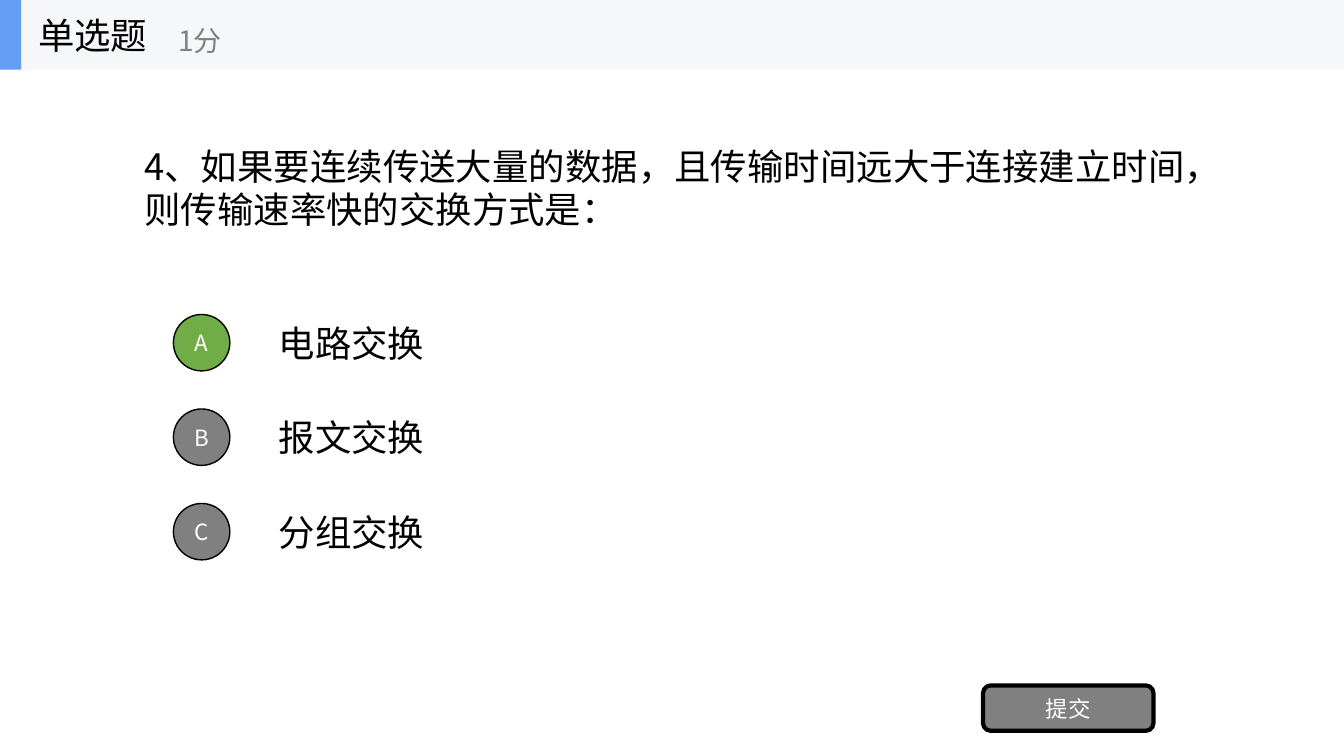
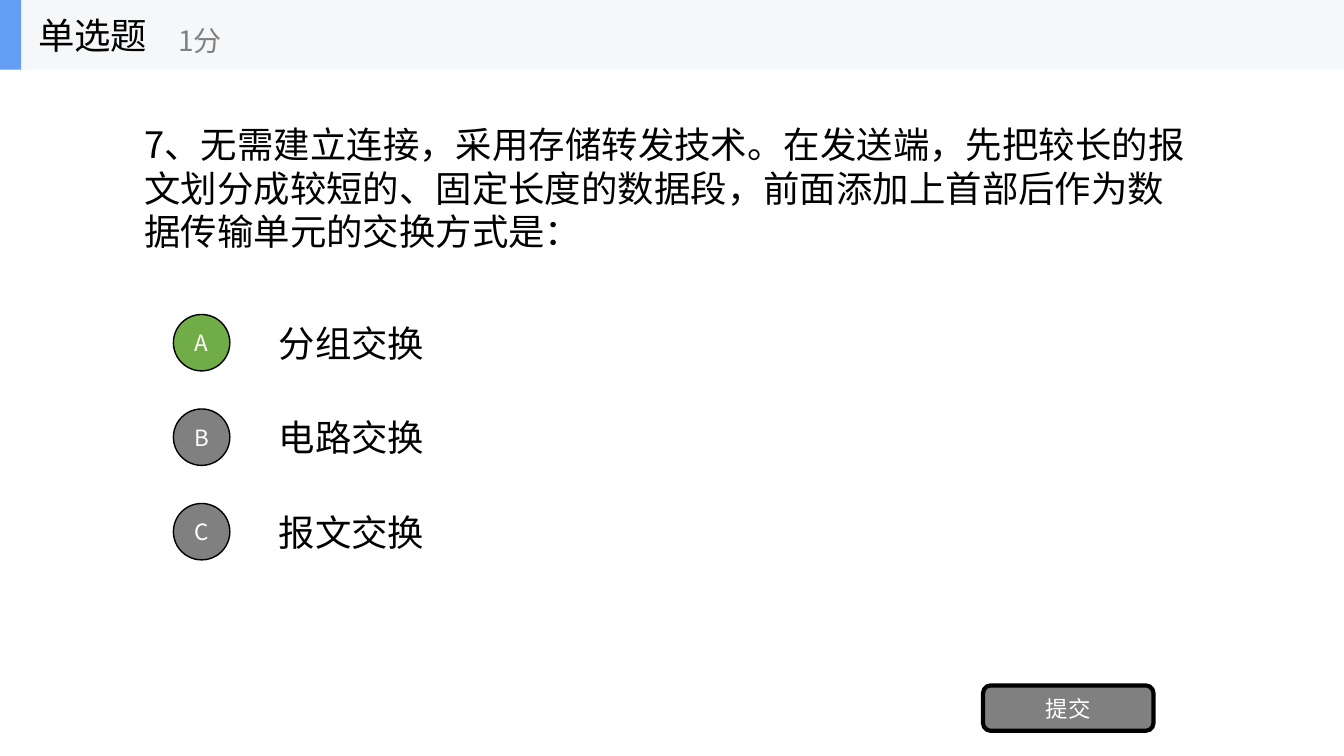
from dataclasses import dataclass

from lxml import etree
from pptx import Presentation
from pptx.dml.color import RGBColor
from pptx.enum.shapes import MSO_SHAPE
from pptx.enum.text import MSO_ANCHOR, PP_ALIGN
from pptx.oxml.ns import qn
from pptx.shapes.autoshape import Shape
from pptx.shapes.shapetree import GroupShapes, SlideShapes
from pptx.util import Inches, Pt

RECTANGLE = MSO_SHAPE.RECTANGLE
ROUNDED = MSO_SHAPE.ROUNDED_RECTANGLE
OVAL = MSO_SHAPE.OVAL
MIDDLE = MSO_ANCHOR.MIDDLE
LEFT = PP_ALIGN.LEFT
CENTER = PP_ALIGN.CENTER

BLACK = RGBColor(0x00, 0x00, 0x00)
WHITE = RGBColor(0xFF, 0xFF, 0xFF)
GRAY = RGBColor(0x80, 0x80, 0x80)
GREEN = RGBColor(0x70, 0xAD, 0x47)
BLUE = RGBColor(0x63, 0x9E, 0xF4)
PALE = RGBColor(0xF6, 0xF7, 0xF8)

FONT = "Noto Sans CJK SC"
TEXT_SIZE = 26
SCORE_SIZE = 20
LABEL_SIZE = 16

SLIDE_WIDTH = 13.33
SLIDE_HEIGHT = 7.5
BAND_HEIGHT = 0.69
MARGIN = 0.1 * SLIDE_WIDTH
CONTENT_WIDTH = SLIDE_WIDTH - 2 * MARGIN
OPTION_LEFT = 2 * MARGIN
OPTION_TOP = 3.05
OPTION_HEIGHT = 0.7
OPTION_PITCH = SLIDE_HEIGHT / 8
BADGE_LEFT = 1.72
BADGE_SIZE = 0.56


@dataclass(frozen=True)
class Box:
    left: float
    top: float
    width: float
    height: float

    def lengths(self) -> list[int]:
        return [Inches(value) for value in (self.left, self.top, self.width, self.height)]


@dataclass(frozen=True)
class Question:
    text: str
    options: tuple[str, ...]
    answer: int


QUESTIONS = (
    Question(
        "4、如果要连续传送大量的数据，且传输时间远大于连接建立时间，则传输速率快的交换方式是：",
        ("电路交换", "报文交换", "分组交换"),
        0,
    ),
    Question(
        "7、无需建立连接，采用存储转发技术。在发送端，先把较长的报文划分成较短的、"
        "固定长度的数据段，前面添加上首部后作为数据传输单元的交换方式是：",
        ("分组交换", "电路交换", "报文交换"),
        0,
    ),
)


def write_text(shape: Shape, text: str, size: int, color: RGBColor,
               alignment: PP_ALIGN = LEFT, wrap: bool = True) -> None:
    frame = shape.text_frame
    frame.word_wrap = wrap
    frame.vertical_anchor = MIDDLE
    paragraph = frame.paragraphs[0]
    paragraph.text = text
    paragraph.alignment = alignment
    font = paragraph.font
    font.size = Pt(size)
    font.color.rgb = color
    font.name = FONT
    properties = paragraph._p.pPr.find(qn("a:defRPr"))
    etree.SubElement(properties, qn("a:ea"), typeface=FONT)


def add_text(shapes: SlideShapes | GroupShapes, box: Box, text: str, size: int = TEXT_SIZE,
             color: RGBColor = BLACK, wrap: bool = True) -> None:
    write_text(shapes.add_textbox(*box.lengths()), text, size, color, wrap=wrap)


def add_filled(shapes: SlideShapes | GroupShapes, kind: MSO_SHAPE, box: Box,
               fill: RGBColor, line_width: float = 0) -> Shape:
    shape = shapes.add_shape(kind, *box.lengths())
    shape.shadow.inherit = False
    shape.fill.solid()
    shape.fill.fore_color.rgb = fill
    if line_width:
        shape.line.color.rgb = BLACK
        shape.line.width = Pt(line_width)
    else:
        shape.line.fill.background()
    return shape


def add_button(shapes: SlideShapes, kind: MSO_SHAPE, box: Box, text: str,
               fill: RGBColor, line_width: float) -> None:
    button = add_filled(shapes, kind, box, fill, line_width)
    write_text(button, text, LABEL_SIZE, WHITE, CENTER)


def add_header(shapes: SlideShapes) -> None:
    header = shapes.add_group_shape().shapes
    add_filled(header, RECTANGLE, Box(0, 0, SLIDE_WIDTH, BAND_HEIGHT), PALE)
    add_filled(header, RECTANGLE, Box(0, 0, 0.21, BAND_HEIGHT), BLUE)
    add_text(header, Box(0.28, 0, 2.08, BAND_HEIGHT), "单选题", wrap=False)
    add_text(header, Box(1.67, 0.12, 2.5, 0.56), "1分", SCORE_SIZE, GRAY, wrap=False)


def add_option(shapes: SlideShapes, row: int, text: str, correct: bool) -> None:
    top = OPTION_TOP + row * OPTION_PITCH
    badge_top = top + (OPTION_HEIGHT - BADGE_SIZE) / 2
    add_text(shapes, Box(OPTION_LEFT, top, 0.7 * SLIDE_WIDTH, OPTION_HEIGHT), text)
    add_button(shapes, OVAL, Box(BADGE_LEFT, badge_top, BADGE_SIZE, BADGE_SIZE),
               "ABC"[row], GREEN if correct else GRAY, 1)


def main() -> None:
    presentation = Presentation()
    presentation.slide_width = Inches(SLIDE_WIDTH)
    presentation.slide_height = Inches(SLIDE_HEIGHT)
    blank = presentation.slide_layouts[6]
    for question in QUESTIONS:
        shapes = presentation.slides.add_slide(blank).shapes
        add_text(shapes, Box(MARGIN, BAND_HEIGHT, CONTENT_WIDTH, 2.34), question.text)
        for row, option in enumerate(question.options):
            add_option(shapes, row, option, row == question.answer)
        add_button(shapes, ROUNDED, Box(9.75, 6.8, 1.69, 0.45), "提交", GRAY, 3)
        add_header(shapes)
    presentation.save("out.pptx")


if __name__ == "__main__":
    main()
